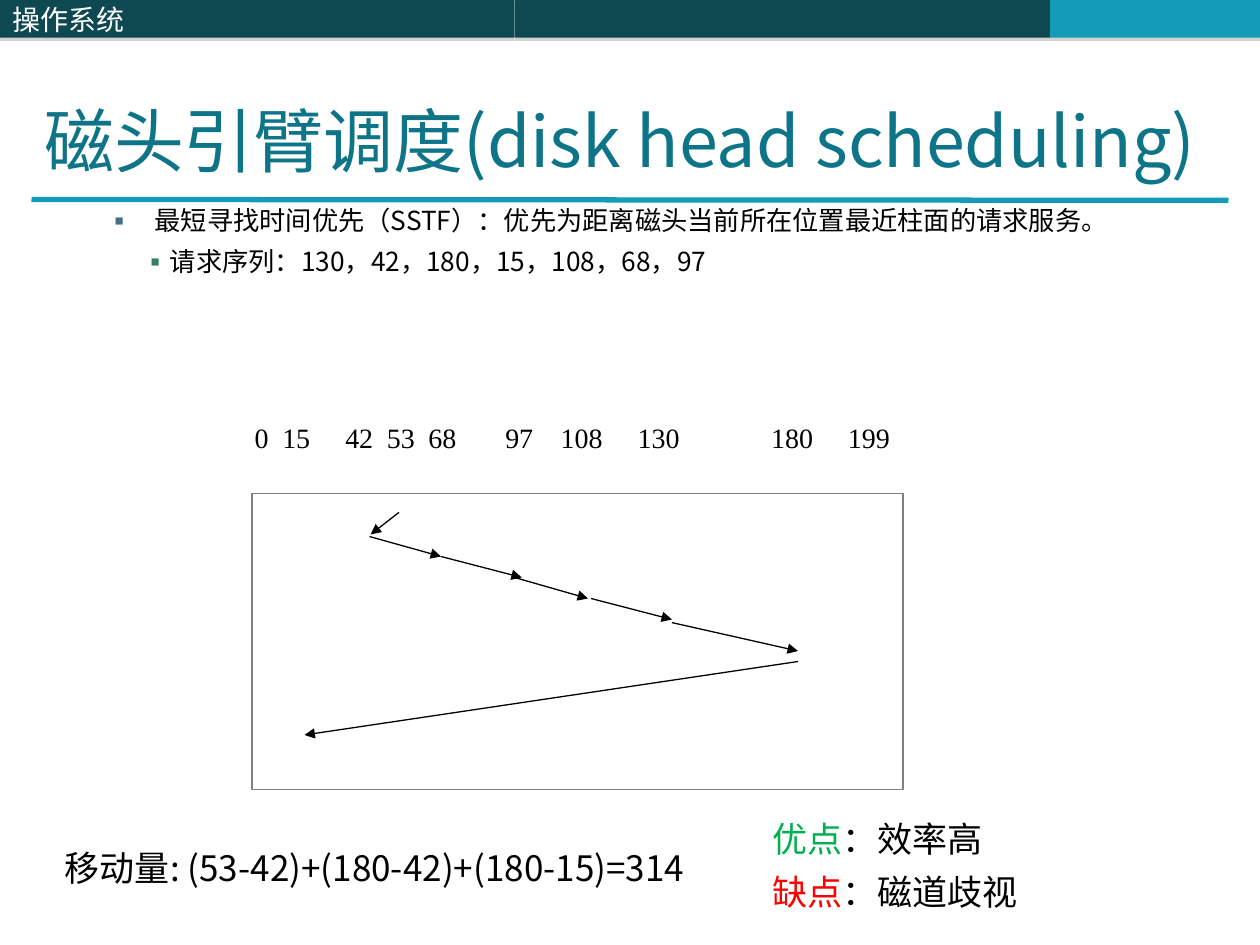
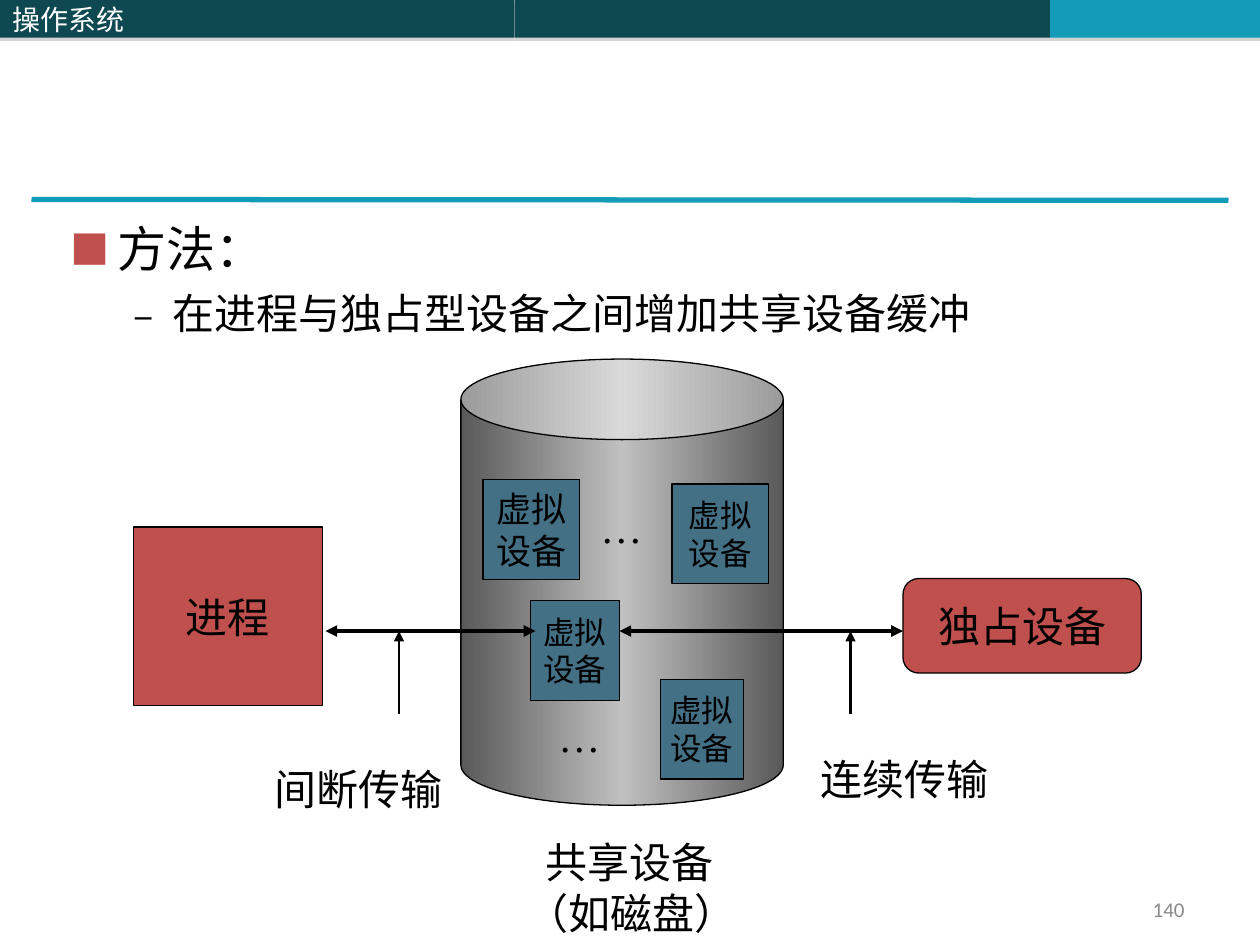
"""Build two operating-systems slides: disk head scheduling and virtual devices."""
from copy import deepcopy

from lxml.etree import SubElement
from pptx import Presentation
from pptx.dml.color import RGBColor
from pptx.enum.shapes import MSO_CONNECTOR, MSO_SHAPE
from pptx.enum.text import MSO_ANCHOR, MSO_AUTO_SIZE, PP_ALIGN
from pptx.oxml.ns import qn
from pptx.util import Inches, Pt

BLACK = RGBColor(0, 0, 0)
WHITE = RGBColor(255, 255, 255)
GREY = RGBColor(0x80, 0x80, 0x80)
NUMBER_GREY = RGBColor(0x89, 0x89, 0x89)
DARK_TEAL = RGBColor(0x0E, 0x48, 0x51)
BRIGHT_TEAL = RGBColor(0x13, 0x9C, 0xB7)
TITLE_TEAL = RGBColor(0x0E, 0x75, 0x89)
SLATE = RGBColor(0x43, 0x70, 0x85)
SEA_GREEN = RGBColor(0x35, 0x7E, 0x69)
GREEN = RGBColor(0x00, 0xB0, 0x50)
RED = RGBColor(255, 0, 0)
BRICK = RGBColor(0xC0, 0x50, 0x4D)
STEEL = RGBColor(0x59, 0x59, 0x59)
SILVER = RGBColor(0xC0, 0xC0, 0xC0)

CJK = "Noto Sans CJK SC"
SERIF = "Times New Roman"
COLUMNS, ROWS = 120, 90


class Deck:
    """Hold the shared style and the current slide on a 120 by 90 grid."""

    def __init__(self):
        """Open an empty presentation of 10 by 7.5 inches."""
        self.show = Presentation()
        self.show.slide_width = Inches(10)
        self.show.slide_height = Inches(7.5)
        self.slide = None

    def grid(self, *lengths):
        """Turn alternating columns and rows into slide lengths."""
        units = self.show.slide_width / COLUMNS, self.show.slide_height / ROWS
        return [round(n * units[i % 2]) for i, n in enumerate(lengths)]

    def new_slide(self, title=None):
        """Start a slide with the header bands, the rule and a title if given."""
        self.slide = self.show.slides.add_slide(self.show.slide_layouts[5 if title else 6])
        for left, width, fill, label in ((49, 51, DARK_TEAL, None), (100, 20, BRIGHT_TEAL, None),
                                         (0, 49, DARK_TEAL, "操作系统")):
            self.band(left, width, fill, label)
        self.line((3, 19), (117, 19.08), 3, BRIGHT_TEAL)
        if title:
            heading = self.slide.shapes.title
            heading.left, heading.top, heading.width, heading.height = self.grid(3, 5.75, 120, 15)
            frame = self.frame(heading, anchor=MSO_ANCHOR.MIDDLE)
            self.paragraph(frame, [(title, TITLE_TEAL)], 40)

    def band(self, left, width, fill, label):
        """Draw one part of the header with its soft shadow."""
        band = self.shape(MSO_SHAPE.RECTANGLE, (left, 0, width, 3.6), fill, None)
        effects = band.element.spPr.find(qn("a:effectLst"))
        shadow = SubElement(effects, qn("a:outerShdw"), dist=str(Pt(1.8)), dir="5400000")
        tone = SubElement(shadow, qn("a:srgbClr"), val=str(GREY))
        SubElement(tone, qn("a:alpha"), val="35000")
        if label:
            frame = self.frame(band, anchor=MSO_ANCHOR.MIDDLE)
            self.paragraph(frame, [(label, WHITE)], 16)

    def frame(self, holder, inset=(0.1, 0.05), anchor=MSO_ANCHOR.TOP, wrap=True):
        """Set up the text frame of a shape."""
        frame = holder.text_frame
        frame.auto_size = MSO_AUTO_SIZE.NONE
        frame.word_wrap = wrap
        frame.vertical_anchor = anchor
        frame.margin_left = frame.margin_right = Inches(inset[0])
        frame.margin_top = frame.margin_bottom = Inches(inset[1])
        return frame

    def paragraph(self, frame, runs, size, font=CJK, align=PP_ALIGN.LEFT, before=0, spacing=None,
                  indent=None, bullet=None, tabs=(), level=0):
        """Add a paragraph made of (text, colour) runs."""
        first = frame.paragraphs[0]
        para = frame.add_paragraph() if first.runs else first
        para.alignment, para.level = align, level
        para.space_before = Pt(before)
        if spacing:
            para.line_spacing = spacing
        props = para._p.get_or_add_pPr()
        if indent:
            props.set("marL", str(Inches(indent[0])))
            props.set("indent", str(Inches(indent[1])))
        if bullet:
            mark, tone, percent = bullet
            SubElement(SubElement(props, qn("a:buClr")), qn("a:srgbClr"), val=str(tone))
            SubElement(props, qn("a:buSzPct"), val=str(percent * 1000))
            SubElement(props, qn("a:buFont"), typeface=CJK)
            SubElement(props, qn("a:buChar"), char=mark)
        if tabs:
            stops = SubElement(props, qn("a:tabLst"))
            for stop in tabs:
                SubElement(stops, qn("a:tab"), pos=str(Inches(stop)), algn="l")
        for words, color in runs:
            run = para.add_run()
            run.text = words
            run.font.size = Pt(size)
            run.font.color.rgb = color
            run.font.name = font
            SubElement(run._r.get_or_add_rPr(), qn("a:ea"), typeface=font)

    def text_box(self, box, **frame_style):
        """Add an empty text box and return its frame."""
        return self.frame(self.slide.shapes.add_textbox(*self.grid(*box)), **frame_style)

    def label(self, words, box, size=24, **style):
        """Add a text box holding one black paragraph."""
        self.paragraph(self.text_box(box), [(words, BLACK)], size, **style)

    def shape(self, kind, box, fill=None, outline=BLACK):
        """Add a preset shape with a flat fill and a thin outline."""
        shape = self.slide.shapes.add_shape(kind, *self.grid(*box))
        shape.shadow.inherit = False
        if fill is None:
            shape.fill.background()
        else:
            shape.fill.solid()
            shape.fill.fore_color.rgb = fill
        if outline is None:
            shape.line.fill.background()
        else:
            shape.line.color.rgb = outline
            shape.line.width = Pt(0.75)
        return shape

    def block(self, lines, box, fill, size, kind=MSO_SHAPE.RECTANGLE, inset=(0.1, 0.05)):
        """Add a filled shape with centred lines of text."""
        frame = self.frame(self.shape(kind, box, fill), inset, MSO_ANCHOR.MIDDLE, False)
        for words in lines:
            self.paragraph(frame, [(words, BLACK)], size, align=PP_ALIGN.CENTER)

    def cylinder(self, box, edge, middle):
        """Add a can shaded from its edges to its middle."""
        can = self.shape(MSO_SHAPE.CAN, box, edge)
        can.fill.gradient()
        can.fill.gradient_angle = 0
        for stop in can.fill.gradient_stops:
            stop.color.rgb = edge
        stops = can.element.spPr.find(qn("a:gradFill")).find(qn("a:gsLst"))
        center = deepcopy(stops[0])
        center.set("pos", "50000")
        center[0].set("val", str(middle))
        stops.insert(1, center)

    def line(self, start, end, width, color=BLACK, heads=()):
        """Add a straight line with arrowheads at the named ends."""
        line = self.slide.shapes.add_connector(MSO_CONNECTOR.STRAIGHT, *self.grid(*start, *end))
        line.line.color.rgb = color
        line.line.width = Pt(width)
        for head in heads:
            SubElement(line.line._get_or_add_ln(), qn(f"a:{head}End"), type="triangle")
        SubElement(line.element.spPr, qn("a:effectLst"))


def scheduling_slide(deck):
    """Show the shortest-seek-first path of the disk head."""
    deck.new_slide("磁头引臂调度(disk head scheduling)")
    rule = deck.text_box((9, 18, 103, 12))
    deck.paragraph(rule, [("最短寻找时间优先（SSTF）：优先为距离磁头当前所在位置最近柱面的请求服务。", BLACK)], 15,
                   spacing=1.3, indent=(0.38, -0.38), bullet=("▪", SLATE, 100))
    deck.paragraph(rule, [("请求序列：130，42，180，15，108，68，97", BLACK)], 15, spacing=1.3,
                   indent=(0.5, -0.22), bullet=("▪", SEA_GREEN, 100), level=1)

    deck.shape(MSO_SHAPE.RECTANGLE, (24, 47, 62, 28.2), outline=GREY)
    cylinders = 0, 15, 42, 53, 68, 97, 108, 130, 180, 199
    axis = deck.text_box((24, 40.1, 93, 6.2), inset=(0.02, 0))
    deck.paragraph(axis, [("\t".join(map(str, cylinders)), BLACK)], 16, SERIF,
                   tabs=(0.22, 0.72, 1.05, 1.38, 1.99, 2.43, 3.04, 4.1, 4.71))

    deck.label("移动量: (53-42)+(180-42)+(180-15)=314", (5, 80, 114, 5.3), 20)
    seeks = (
        ((38, 48.8), (35.3, 50.9)),
        ((35.2, 51.1), (42, 53)),
        ((42, 53), (49.7, 55)),
        ((49, 55), (56, 57)),
        ((56.3, 57), (64, 59)),
        ((64, 59.3), (76, 62)),
        ((76, 63), (29, 70)),
    )
    for start, end in seeks:
        deck.line(start, end, 0.75, heads=("tail",))

    verdict = deck.text_box((72.4, 77.3, 39.7, 10.2))
    deck.paragraph(verdict, [("优点", GREEN), ("：效率高", BLACK)], 20)
    deck.paragraph(verdict, [("缺点", RED), ("：磁道歧视", BLACK)], 20, before=6)


def virtual_device_slide(deck):
    """Show a shared device buffering between a process and an exclusive device."""
    deck.new_slide()
    number = deck.text_box((86, 85, 28, 3.2), anchor=MSO_ANCHOR.MIDDLE)
    deck.paragraph(number, [("140", NUMBER_GREY)], 12, "Calibri", PP_ALIGN.RIGHT)
    method = deck.text_box((5.5, 20.2, 102, 16))
    deck.paragraph(method, [("方法：", BLACK)], 28, indent=(0.38, -0.38), bullet=("■", BRICK, 80))
    deck.paragraph(method, [("在进程与独占型设备之间增加共享设备缓冲", BLACK)], 24, before=6,
                   indent=(0.81, -0.31), bullet=("–", BLACK, 90), level=1)

    deck.cylinder((43.9, 34.2, 30.7, 42.5), STEEL, SILVER)
    for left, top, width, size in ((46, 45.7, 9.2, 20), (64, 46.1, 9.2, 18),
                                   (50.5, 57.2, 8.5, 18), (62.9, 64.7, 7.9, 18)):
        deck.block(("虚拟", "设备"), (left, top, width, 9.5), SLATE, size, inset=(0.02, 0.05))
    deck.block(("进程",), (12.7, 50.2, 18, 17), BRICK, 24)
    deck.block(("独占设备",), (86, 55.1, 22.7, 9), BRICK, 24, MSO_SHAPE.ROUNDED_RECTANGLE)

    transfer_row = 60.1
    for left, right in ((31, 51), (59, 86)):
        deck.line((left, transfer_row), (right, transfer_row), 2.25, heads=("head", "tail"))
    deck.label("共享设备（如磁盘）", (49, 79.1, 24.2, 10.8), indent=(0, 0.15))
    for words, left, top, pointer in (("间断传输", 25, 72.1, 38), ("连续传输", 77, 71.2, 81)):
        deck.label(words, (left, top, 21, 6))
        deck.line((pointer, 68), (pointer, transfer_row), 1.5, heads=("tail",))
    for left, top, width in ((52, 67.1, 9), (56, 47.2, 6)):
        deck.label("…", (left, top, width, 6), font=SERIF)


def main():
    """Build both slides and save them."""
    deck = Deck()
    scheduling_slide(deck)
    virtual_device_slide(deck)
    deck.show.save("out.pptx")


if __name__ == "__main__":
    main()
